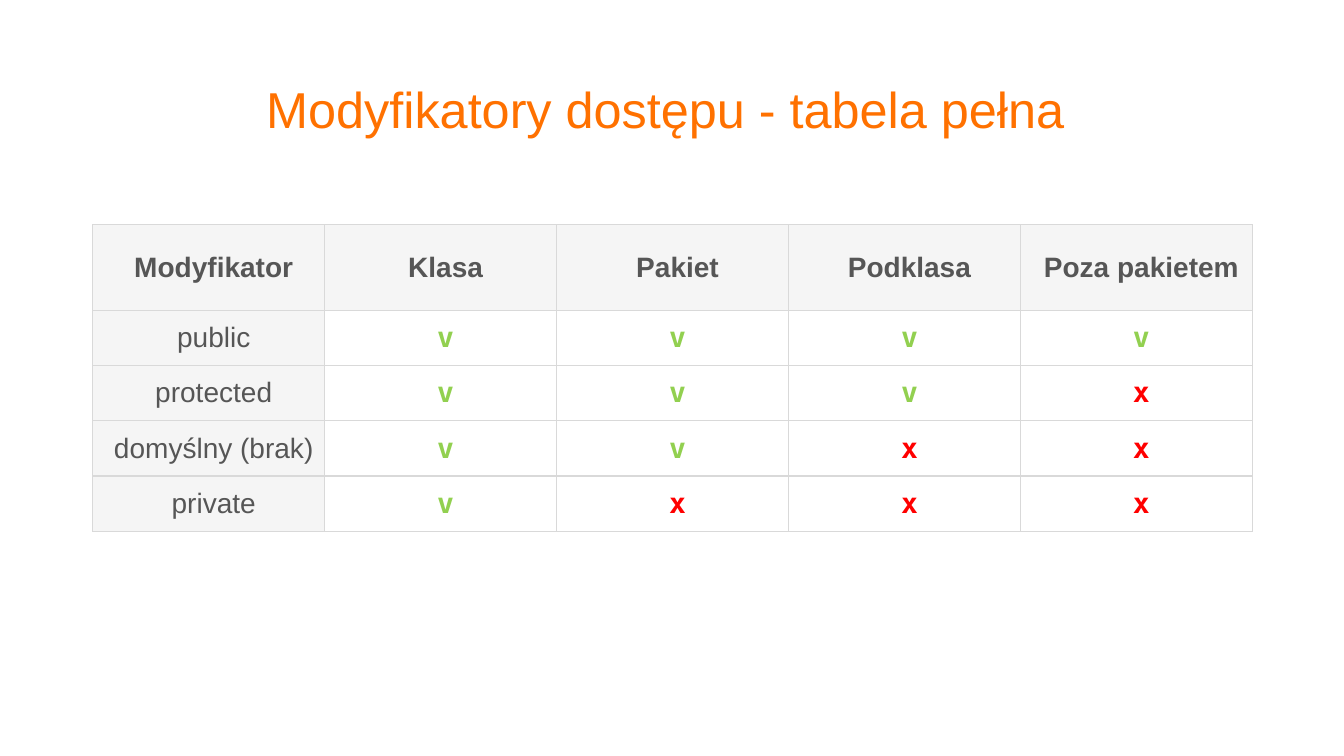
from dataclasses import dataclass

from lxml import etree
from pptx import Presentation
from pptx.dml.color import RGBColor
from pptx.enum.text import MSO_ANCHOR, PP_ALIGN
from pptx.oxml.ns import qn
from pptx.util import Inches, Pt

CENTER = PP_ALIGN.CENTER
MIDDLE = MSO_ANCHOR.MIDDLE


@dataclass(frozen=True)
class Theme:
    accent: str = "FF7100"
    text: str = "565656"
    allowed: str = "92D050"
    denied: str = "FF0000"
    heading_fill: str = "F5F5F5"
    mark_fill: str = "FFFFFF"
    border: str = "D9D9D9"
    font: str = "Arial"
    mark_font: str = "DejaVu Sans Mono"
    title_size: int = 36
    table_size: int = 20
    border_width: int = 1


THEME = Theme()
TITLE = "Modyfikatory dostępu - tabela pełna "
HEADINGS = ["Modyfikator", "Klasa", "Pakiet", "Podklasa", "Poza pakietem"]
ACCESS = {
    "public": "vvvv",
    "protected": "vvvx",
    "domyślny (brak)": "vvxx",
    "private": "vxxx",
}
MARK_COLORS = {"v": THEME.allowed, "x": THEME.denied}


def write_text(frame, text, *, size, color, font=THEME.font, bold=False, spacing=None):
    paragraph = frame.paragraphs[0]
    paragraph.alignment = CENTER
    paragraph.line_spacing = spacing
    run = paragraph.add_run()
    run.text = text
    run.font.name = font
    run.font.size = Pt(size)
    run.font.bold = bold
    run.font.color.rgb = RGBColor.from_string(color)


def draw_borders(cell):
    properties = cell._tc.get_or_add_tcPr()
    for position, side in enumerate(("a:lnL", "a:lnR", "a:lnT", "a:lnB")):
        line = etree.Element(qn(side), w=str(Pt(THEME.border_width)))
        fill = etree.SubElement(line, qn("a:solidFill"))
        etree.SubElement(fill, qn("a:srgbClr"), val=THEME.border)
        properties.insert(position, line)


def fill_cell(cell, text, *, fill, **text_format):
    cell.vertical_anchor = MIDDLE
    cell.margin_left = Inches(0.2)
    cell.margin_right = Inches(0.1)
    cell.margin_top = cell.margin_bottom = Inches(0.05)
    cell.fill.solid()
    cell.fill.fore_color.rgb = RGBColor.from_string(fill)
    draw_borders(cell)
    write_text(cell.text_frame, text, size=THEME.table_size, **text_format)


def add_title(slide, left, top, width, height):
    title = slide.shapes.add_textbox(Inches(left), Inches(top), Inches(width), Inches(height))
    title.text_frame.word_wrap = True
    title.text_frame.vertical_anchor = MIDDLE
    write_text(title.text_frame, TITLE, size=THEME.title_size, color=THEME.accent, spacing=0.9)


def add_access_table(slide, left, top, width, height, heading_height=0.85):
    table = slide.shapes.add_table(
        len(ACCESS) + 1, len(HEADINGS),
        Inches(left), Inches(top), Inches(width), Inches(height),
    ).table
    table.horz_banding = False
    for column in table.columns:
        column.width = Inches(width / len(HEADINGS))
    for row in table.rows:
        row.height = Inches((height - heading_height) / len(ACCESS))
    table.rows[0].height = Inches(heading_height)

    for column, heading in enumerate(HEADINGS):
        fill_cell(table.cell(0, column), heading, fill=THEME.heading_fill,
                  color=THEME.text, bold=True)
    for row, (modifier, marks) in enumerate(ACCESS.items(), start=1):
        fill_cell(table.cell(row, 0), modifier, fill=THEME.heading_fill, color=THEME.text)
        for column, mark in enumerate(marks, start=1):
            fill_cell(table.cell(row, column), mark, fill=THEME.mark_fill,
                      color=MARK_COLORS[mark], font=THEME.mark_font, bold=True)


def main():
    presentation = Presentation()
    presentation.slide_width = Inches(13.33)
    presentation.slide_height = Inches(7.5)
    slide = presentation.slides.add_slide(presentation.slide_layouts[6])
    add_title(slide, 0.92, 0.68, 11.5, 0.87)
    add_access_table(slide, 0.92, 2.23, 11.5, 3.04)
    presentation.save("out.pptx")


if __name__ == "__main__":
    main()
